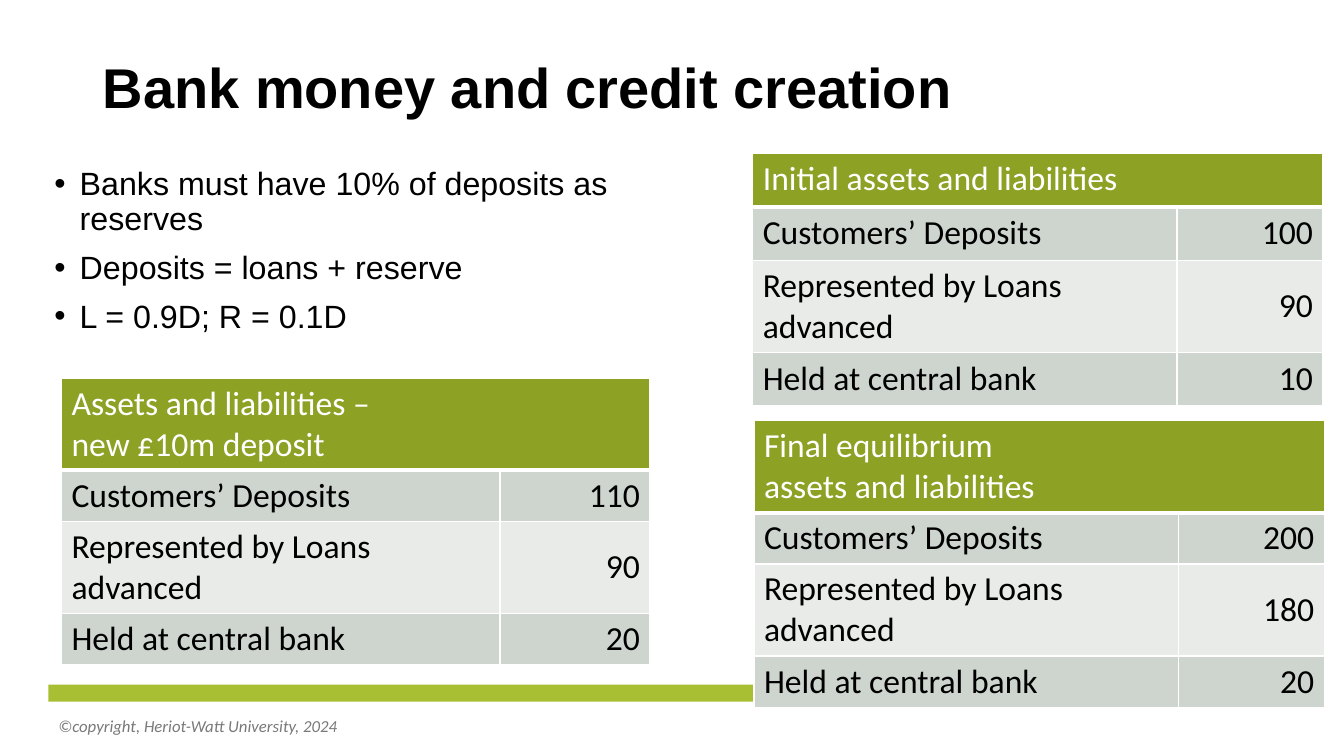
"""Build the slide on bank money and credit creation."""
from lxml import etree
from pptx import Presentation
from pptx import util as u
from pptx.dml.color import RGBColor
from pptx.enum import shapes, text
from pptx.oxml.ns import qn

BLACK = RGBColor(0x00, 0x00, 0x00)
WHITE = RGBColor(0xFF, 0xFF, 0xFF)
GREY = RGBColor(0x79, 0x79, 0x79)
LIME = RGBColor(0xA8, 0xBF, 0x33)
OLIVE = RGBColor(0x8D, 0xA1, 0x25)
BANDS = RGBColor(0xCD, 0xD5, 0xCE), RGBColor(0xE8, 0xEB, 0xE8)

TITLE = {"name": "Arial", "size": u.Pt(40), "bold": True, "color": BLACK}
BODY = {"name": "Arial", "size": u.Pt(23), "color": BLACK}
FOOTER = {"name": "Calibri", "size": u.Pt(12), "italic": True, "color": GREY}
ENTRY = {"name": "Calibri", "size": u.Pt(24), "color": BLACK}
HEADING = {**ENTRY, "color": WHITE}

ITEMS = "Customers’ Deposits", "Represented by Loans advanced", "Held at central bank"


class SlideBuilder:
    def __init__(self, slide):
        self.slide = slide

    def style(self, paragraph, font_format, **paragraph_format):
        for key, value in paragraph_format.items():
            setattr(paragraph, key, value)
        for run in paragraph.runs:
            for key, value in font_format.items():
                if key == "color":
                    run.font.color.rgb = value
                else:
                    setattr(run.font, key, value)

    def bar(self, box, color):
        bar = self.slide.shapes.add_shape(
            shapes.MSO_SHAPE.RECTANGLE, *map(u.Cm, box))
        bar.shadow.inherit = False
        bar.fill.solid()
        bar.fill.fore_color.rgb = color
        bar.line.fill.background()

    def frame(self, box, anchor):
        frame = self.slide.shapes.add_textbox(*map(u.Cm, box)).text_frame
        frame.word_wrap = True
        frame.vertical_anchor = anchor
        return frame

    def label(self, box, wording, font_format, **paragraph_format):
        line = self.frame(box, text.MSO_ANCHOR.MIDDLE).paragraphs[0]
        line.text = wording
        self.style(line, font_format, **paragraph_format)

    def bullets(self, box, points):
        frame = self.frame(box, text.MSO_ANCHOR.TOP)
        for index, point in enumerate(points):
            line = frame.add_paragraph() if index else frame.paragraphs[0]
            line.text = point
            props = line._p.get_or_add_pPr()
            props.set("marL", str(u.Cm(0.64)))
            props.set("indent", str(-u.Cm(0.64)))
            etree.SubElement(props, qn("a:buFont"), typeface="Arial")
            etree.SubElement(props, qn("a:buChar"), char="•")
            self.style(line, BODY, line_spacing=0.9,
                       space_before=u.Pt(10 if index else 0))

    def borders(self, cell, bottom):
        props = cell._tc.get_or_add_tcPr()
        widths = {"lnL": 1, "lnR": 1, "lnT": 1, "lnB": bottom}
        for place, (side, width) in enumerate(widths.items()):
            edge = etree.Element(qn(f"a:{side}"), w=str(u.Pt(width)))
            fill = etree.SubElement(edge, qn("a:solidFill"))
            etree.SubElement(fill, qn("a:srgbClr"), val=str(WHITE))
            props.insert(place, edge)

    def cell(self, cell, wording, fill, font_format, anchor, align, bottom=1):
        cell.text = wording
        cell.vertical_anchor = anchor
        cell.fill.solid()
        cell.fill.fore_color.rgb = fill
        self.style(cell.text_frame.paragraphs[0], font_format, alignment=align)
        self.borders(cell, bottom)

    def balance_sheet(self, corner, widths, heights, heading, amounts):
        sheet = self.slide.shapes.add_table(
            len(heights), len(widths),
            *map(u.Cm, (*corner, sum(widths), sum(heights)))).table
        for column, width in zip(sheet.columns, widths):
            column.width = u.Cm(width)
        for row, height in zip(sheet.rows, heights):
            row.height = u.Cm(height)
        left, right = text.PP_ALIGN.LEFT, text.PP_ALIGN.RIGHT
        sheet.cell(0, 0).merge(sheet.cell(0, 1))
        for column, wording in enumerate((heading, "")):
            self.cell(sheet.cell(0, column), wording, OLIVE, HEADING,
                      text.MSO_ANCHOR.TOP, left, bottom=3)
        for row, (item, amount) in enumerate(zip(ITEMS, amounts), 1):
            fill = BANDS[(row - 1) % 2]
            for column, (wording, align) in enumerate(
                    ((item, left), (str(amount), right))):
                self.cell(sheet.cell(row, column), wording, fill, ENTRY,
                          text.MSO_ANCHOR.MIDDLE, align)


def main():
    deck = Presentation()
    deck.slide_width, deck.slide_height = u.Cm(33.87), u.Cm(19.05)
    page = SlideBuilder(deck.slides.add_slide(deck.slide_layouts[6]))

    page.bar((1.22, 17.25, 31.55, 0.43), LIME)
    page.label((1.22, 17.78, 11.43, 1.02),
               "©copyright, Heriot-Watt University, 2024", FOOTER)
    page.label((2.34, 1.02, 29.21, 2.51),
               "Bank money and credit creation", TITLE, line_spacing=0.9)
    page.bullets((1.12, 4.11, 15.27, 4.65), (
        "Banks must have 10% of deposits as reserves",
        "Deposits = loans + reserve",
        "L = 0.9D; R = 0.1D",
    ))

    short_heading = 1.35, 1.35, 2.32, 1.35
    tall_heading = 2.32, 1.29, 2.32, 1.29
    right_widths = 10.69, 3.68
    page.balance_sheet((18.97, 3.86), right_widths, short_heading,
                       "Initial assets and liabilities", (100, 90, 10))
    page.balance_sheet((1.55, 9.53), (11.05, 3.78), tall_heading,
                       "Assets and liabilities –\vnew £10m deposit", (110, 90, 20))
    page.balance_sheet((19, 10.6), right_widths, tall_heading,
                       "Final equilibrium\vassets and liabilities", (200, 180, 20))
    deck.save("out.pptx")


if __name__ == "__main__":
    main()
